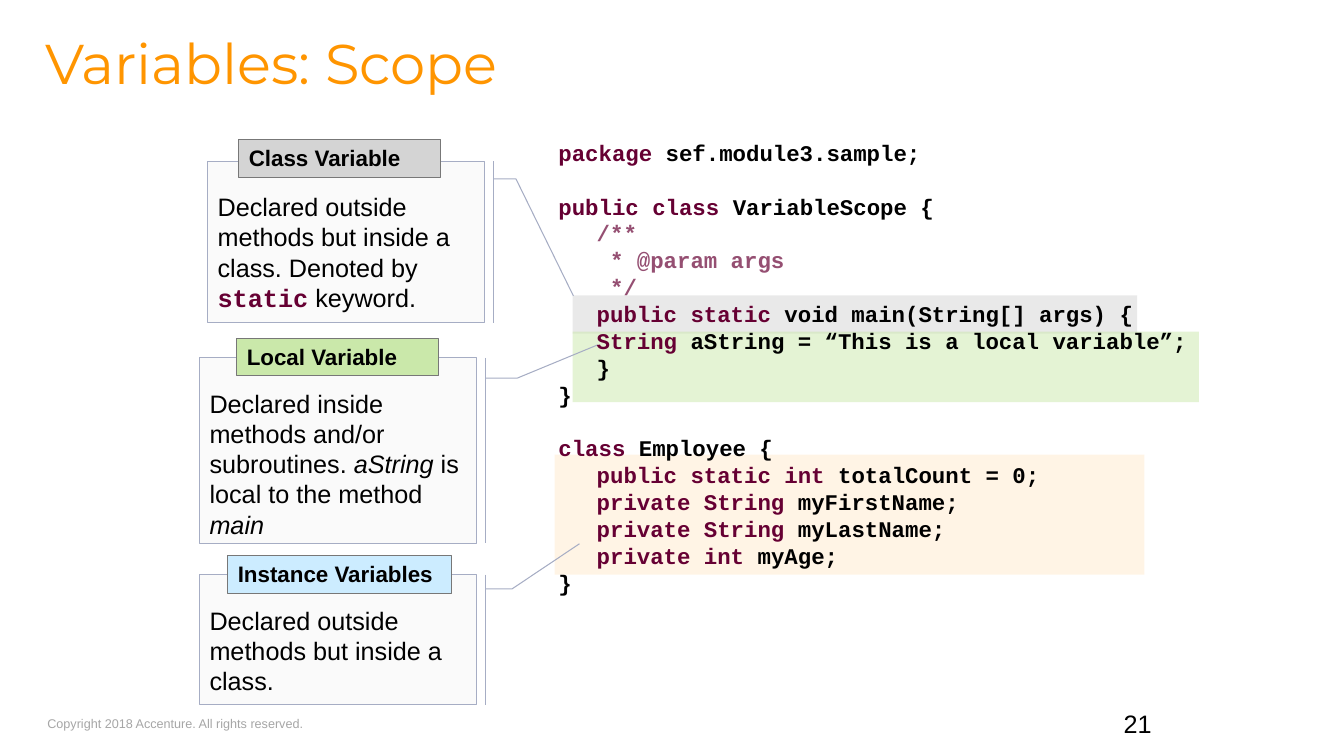
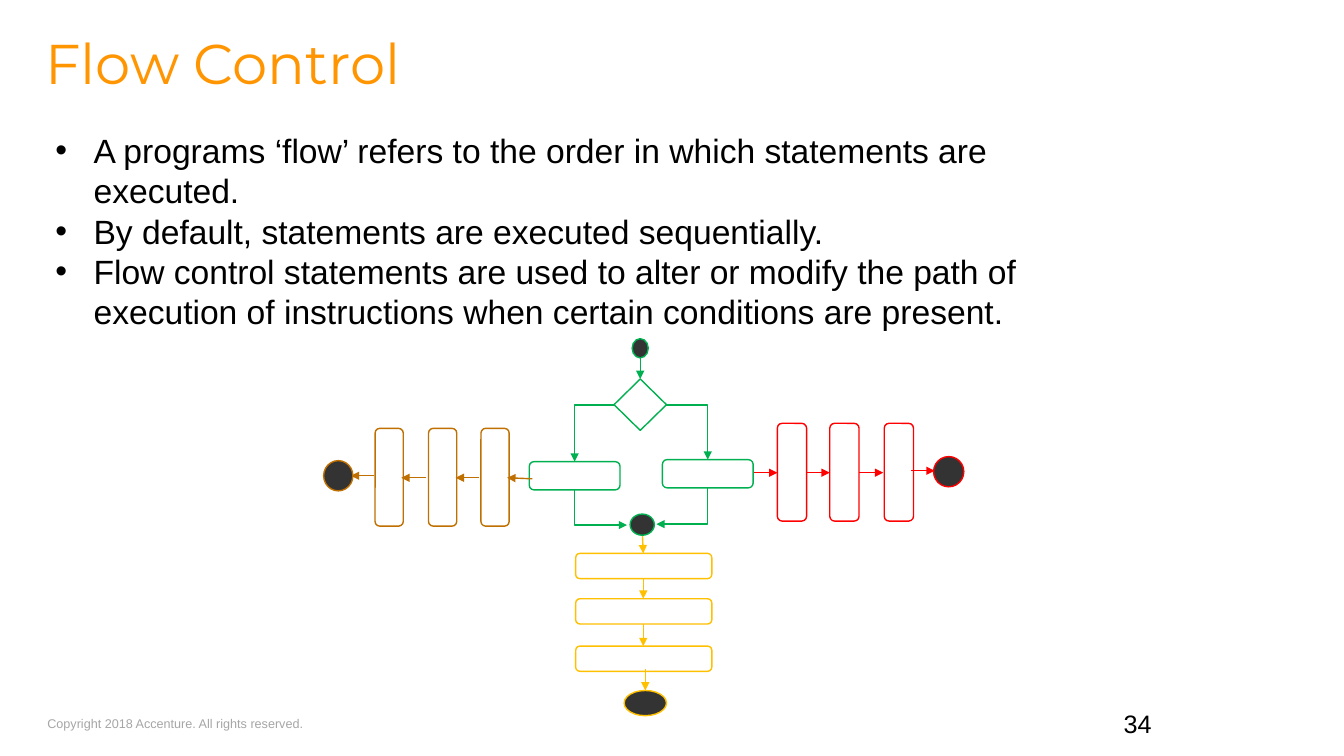
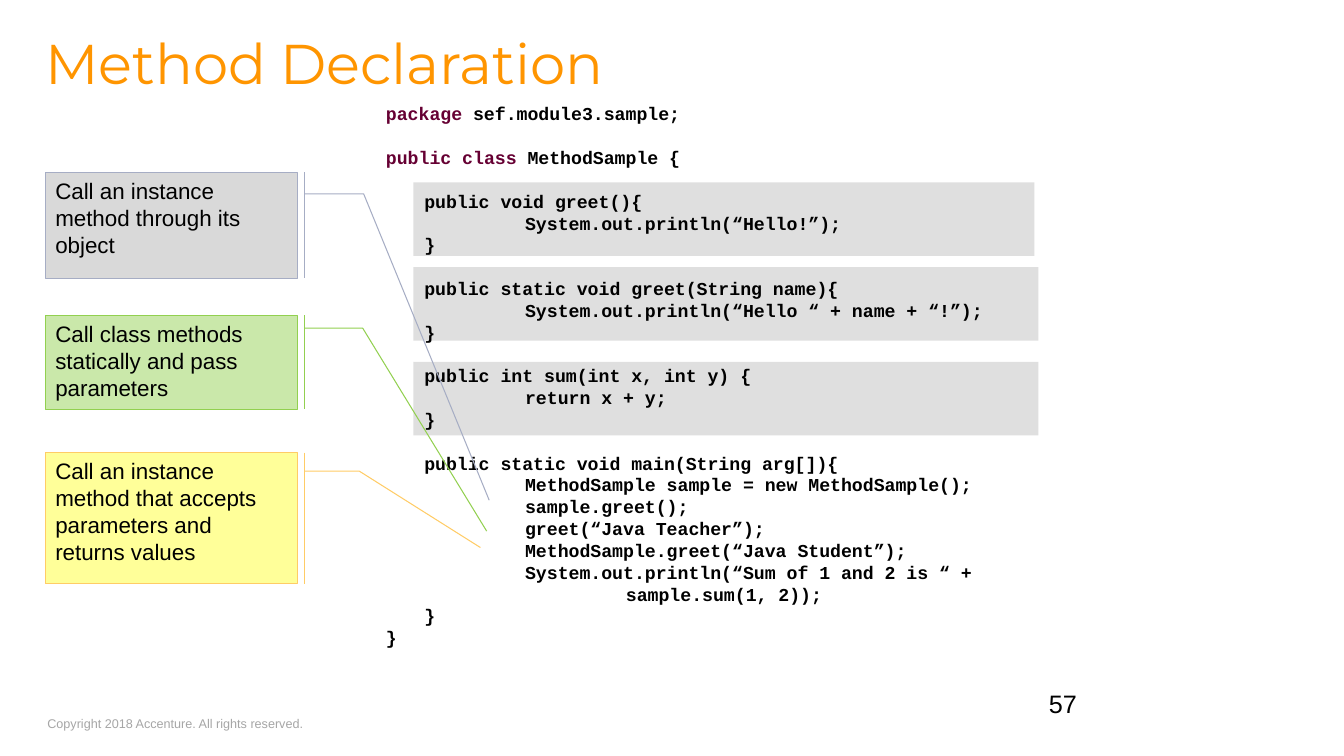
import pptx
import pptx.util
import pptx.dml.color
import pptx.enum.shapes
import pptx.enum.text
import pptx.oxml
import pptx.oxml.ns
import lxml.etree

Inches, Pt = pptx.util.Inches, pptx.util.Pt
SHAPE = pptx.enum.shapes.MSO_SHAPE
CONNECTOR = pptx.enum.shapes.MSO_CONNECTOR
ALIGN = pptx.enum.text.PP_ALIGN
ANCHOR = pptx.enum.text.MSO_ANCHOR
qn = pptx.oxml.ns.qn

COLORS = {
    "title": "FF9500", "text": "000000", "footer": "A6A6A6",
    "keyword": "660033", "comment": "954F72",
    "gray": "D4D4D4", "green": "CAE8AA", "peach": "FFEACC", "sky": "CCECFF",
    "silver": "C0C0C0", "paper": "FAFAFA", "callout gray": "D9D9D9",
    "yellow": "FFFF99", "slate": "A6ADC4", "label line": "777777",
    "lime": "92D050", "sand": "FFCC66", "dark": "333333",
    "main flow": "00B050", "down flow": "FFC000",
    "right flow": "FF0000", "left flow": "BF7000",
}
SANS, MONO, DISPLAY = "Arial", "Courier New", "Montserrat"
LINE_PITCH = 1.2
CODE_INDENT, TAB = 0.38, 1.0
COPYRIGHT = "Copyright 2018 Accenture. All rights reserved."

# Slide 1 content: keywords stand between bars, tabs give the code depth
SCOPE_CODE = [
    "|package| sef.module3.sample;",
    "",
    "|public class |VariableScope {",
    "\t/**",
    "\t * @param args",
    "\t */",
    "\t|public static| void main(String[] args) {",
    "\t|String |aString = “This is a local variable”;",
    "\t}",
    "}",
    "",
    "|class| Employee {",
    "\t|public static int |totalCount = 0;",
    "\t|private String |myFirstName;",
    "\t|private String |myLastName;",
    "\t|private int |myAge;",
    "}",
]
SCOPE_BANDS = [
    ((5.68, 2.93, 5.6, 0.38), "gray"),
    ((5.68, 3.29, 6.21, 0.7), "green"),
    ((5.5, 4.51, 5.85, 1.19), "peach"),
]
STATIC = {"name": MONO, "bold": True, "color": "keyword"}
ITALIC = {"italic": True}
# label, label box, label fill, callout box, leader (start y, bend x, end y, end x), runs
SCOPES = [
    ("Class Variable", (2.37, 1.38, 2, 0.38), "gray",
     (2.06, 1.6, 2.75, 1.6), (0.11, 1.112, 0.835, 1.319),
     [("Declared outside methods but inside a class. Denoted by ", {}),
      ("static", STATIC), (" keyword.", {})]),
    ("Instance Variables", (2.26, 5.51, 2.22, 0.38), "sky",
     (1.98, 5.7, 2.75, 1.29), (0.11, 1.127, -0.237, 1.37),
     [("Declared outside methods but inside a class.", {})]),
    ("Local Variable", (2.35, 3.36, 2, 0.37), "green",
     (1.98, 3.55, 2.75, 1.84), (0.11, 1.145, -0.07, 1.436),
     [("Declared inside methods and/or subroutines. ", {}), ("aString ", ITALIC),
      ("is local to the method ", {}), ("main", ITALIC)]),
]

# Slide 2 content
FLOW_POINTS = [
    "A programs ‘flow’ refers to the order in which statements are executed.",
    "By default, statements are executed sequentially.",
    "Flow control statements are used to alter or modify the path of "
    "execution of instructions when certain conditions are present.",
]
# Steps, dots and arrows of each branch
FLOWS = {
    "down flow": {
        "steps": [(5.71, y, 1.35, 0.25) for y in (5.49, 5.94, 6.41)],
        "dots": [(6.19, 6.85, 0.42, 0.25)],
        "arrows": [(6.37, 5.27, 6.38, 5.49), (6.38, 5.74, 6.38, 5.94),
                   (6.38, 6.19, 6.38, 6.41), (6.4, 6.64, 6.4, 6.85)],
    },
    "right flow": {
        "steps": [(x, 4.2, 0.29, 0.97) for x in (7.71, 8.23, 8.77)],
        "dots": [(9.26, 4.53, 0.3, 0.3)],
        "arrows": [(7.47, 4.69, 7.71, 4.69), (8, 4.69, 8.23, 4.69),
                   (8.52, 4.69, 8.76, 4.69), (9.04, 4.67, 9.27, 4.67)],
    },
    "main flow": {
        "steps": [(5.25, 4.58, 0.9, 0.28), (6.57, 4.56, 0.9, 0.28)],
        "dots": [(6.27, 3.36, 0.16, 0.19), (6.25, 5.1, 0.24, 0.21)],
        "arrows": [(6.35, 3.55, 6.35, 3.76)],
    },
    "left flow": {
        "steps": [(x, 4.25, 0.28, 0.97) for x in (4.77, 4.25, 3.72)],
        "dots": [(3.21, 4.57, 0.29, 0.3)],
        "arrows": [(5.28, 4.75, 5.03, 4.74), (4.75, 4.74, 4.52, 4.74),
                   (4.23, 4.74, 3.98, 4.74), (3.71, 4.72, 3.48, 4.72)],
    },
}
DECISION = (6.09, 3.76, 0.52, 0.51)
# Elbows run sideways first, then up or down; the last field is the arrow's end
ELBOWS = [
    ((6.61, 4.02, 7.02, 4.56), "tailEnd"),
    ((6.09, 4.02, 5.7, 4.58), "tailEnd"),
    ((6.22, 5.21, 5.7, 4.85), "headEnd"),
    ((6.51, 5.2, 7.02, 4.84), "headEnd"),
]

# Slide 3 content
METHOD_CODE = [
    "|package |sef.module3.sample;",
    "",
    "|public class| MethodSample {",
    "",
    "\tpublic void greet(){",
    "\t\tSystem.out.println(“Hello!”);",
    "\t}",
    "",
    "\tpublic static void greet(String name){",
    "\t\tSystem.out.println(“Hello “ + name + “!”);",
    "\t}",
    "",
    "\tpublic int sum(int x, int y) {",
    "\t\treturn x + y;",
    "\t}",
    "",
    "\tpublic static void main(String arg[]){",
    "\t\tMethodSample sample = new MethodSample();",
    "\t\tsample.greet();",
    "\t\tgreet(“Java Teacher”);",
    "\t\tMethodSample.greet(“Java Student”);",
    "\t\tSystem.out.println(“Sum of 1 and 2 is “ +",
    "\t\t\tsample.sum(1, 2));",
    "\t}",
    "}",
]
METHOD_BANDS = [((4.1, y, w, 0.73), "silver")
                for y, w in ((3.59, 6.2), (2.65, 6.2), (1.81, 6.16))]
# text, top, height, fill, line, leader
METHOD_CALLS = [
    ("Call an instance method through its object", 1.71, 1.05,
     "callout gray", "slate", (0.203, 1.263, 3.098, 1.761)),
    ("Call class methods statically and pass parameters", 3.13, 0.93,
     "green", "lime", (0.135, 1.259, 2.301, 1.751)),
    ("Call an instance method that accepts parameters and returns values", 4.49, 1.3,
     "yellow", "sand", (0.141, 1.245, 0.725, 1.726)),
]


def rgb(color):
    return pptx.dml.color.RGBColor.from_string(COLORS[color])


def inches(values):
    return [Inches(value) for value in values]


def add_run(paragraph, text, size, name=SANS, color="text", bold=False, italic=False):
    run = paragraph.add_run()
    run.text = text
    font = run.font
    font.size, font.name, font.bold, font.italic = Pt(size), name, bold, italic
    font.color.rgb = rgb(color)


def set_frame(frame, insets=(0.1, 0.05, 0.1, 0.05), anchor=ANCHOR.TOP, wrap=True):
    (frame.margin_left, frame.margin_top,
     frame.margin_right, frame.margin_bottom) = inches(insets)
    frame.vertical_anchor, frame.word_wrap = anchor, wrap
    return frame


def add_text(slide, box, **frame_style):
    return set_frame(slide.shapes.add_textbox(*inches(box)).text_frame, **frame_style)


def set_indent(paragraph, left, hanging=0):
    properties = paragraph._p.get_or_add_pPr()
    properties.set("marL", str(Inches(left)))
    properties.set("indent", str(-Inches(hanging)))
    return properties


def add_box(slide, kind, box, fill=None, line=None, width=0.75, opacity=None):
    shape = slide.shapes.add_shape(kind, *inches(box))
    shape.shadow.inherit = False
    if fill:
        shape.fill.solid()
        shape.fill.fore_color.rgb = rgb(fill)
        if opacity:
            color = shape._element.spPr.find(".//" + qn("a:srgbClr"))
            lxml.etree.SubElement(color, qn("a:alpha")).set("val", str(opacity * 1000))
    else:
        shape.fill.background()
    if line:
        shape.line.color.rgb = rgb(line)
        shape.line.width = Pt(width)
    else:
        shape.line.fill.background()
    return shape


def write_box(shape, runs, size, top=0.05):
    """Fill a shape with one left-aligned paragraph."""
    paragraph = set_frame(shape.text_frame, (0.1, top, 0.1, 0.05)).paragraphs[0]
    paragraph.alignment = ALIGN.LEFT
    paragraph.line_spacing = Pt(LINE_PITCH * size)
    for text, style in runs:
        add_run(paragraph, text, size, **style)


def add_callout(slide, box, fill, line, leader, runs, size, top=0.05):
    shape = add_box(slide, SHAPE.LINE_CALLOUT_2_BORDER_AND_ACCENT_BAR, box, fill, line)
    start, bend, end_y, end_x = leader
    for index, value in enumerate((start, 1.03, start, bend, end_y, end_x)):
        shape.adjustments[index] = value
    write_box(shape, runs, size, top)


def add_bands(slide, bands):
    for box, fill in bands:
        add_box(slide, SHAPE.RECTANGLE, box, fill, opacity=50)


def add_code(slide, box, lines, size):
    frame = add_text(slide, box)
    paragraph, gap = frame.paragraphs[0], 0
    for number, line in enumerate(lines):
        if not line:
            gap += LINE_PITCH * size
            continue
        if number:
            paragraph = frame.add_paragraph()
            paragraph.space_before = Pt(gap)
        gap = 0
        paragraph.line_spacing = Pt(LINE_PITCH * size)
        code = line.lstrip("\t")
        depth = len(line) - len(code)
        set_indent(paragraph, CODE_INDENT + TAB * (depth - 1) if depth else 0)
        plain = "comment" if code.strip().startswith(("/*", "*")) else "text"
        for part, text in enumerate(code.split("|")):
            if text:
                add_run(paragraph, text, size, MONO, "keyword" if part % 2 else plain, True)


def add_arrow(slide, ends, color, kind=CONNECTOR.STRAIGHT, arrow_end="tailEnd"):
    connector = slide.shapes.add_connector(kind, *inches(ends))
    connector.line.color.rgb = rgb(color)
    connector.line.width = Pt(1)
    properties = connector._element.spPr
    if kind == CONNECTOR.ELBOW:
        properties.find(qn("a:prstGeom")).set("prst", "bentConnector2")
    outline = properties.find(qn("a:ln"))
    lxml.etree.SubElement(outline, qn("a:" + arrow_end)).set("type", "triangle")
    lxml.etree.SubElement(properties, qn("a:effectLst"))


def new_slide(deck, title, number, number_at=(9.67, 7.08)):
    """Start a slide with the shared footer, number and title."""
    slide = deck.slides.add_slide(deck.slide_layouts[6])
    footer = add_text(slide, (0.47, 7.05, 2.57, 0.25), insets=(0, 0.05, 0, 0.05), wrap=False)
    add_run(footer.paragraphs[0], COPYRIGHT, 9, color="footer")
    page = add_text(slide, (*number_at, 1.85, 0.3), anchor=ANCHOR.BOTTOM).paragraphs[0]
    page.alignment = ALIGN.RIGHT
    add_run(page, number, 18)
    heading = add_text(slide, (0.45, 0.41, 8.32, 1.09), insets=(0, 0, 0, 0)).paragraphs[0]
    heading.line_spacing = 0.8
    add_run(heading, title, 40, DISPLAY, "title")
    return slide


def build_scope(deck):
    slide = new_slide(deck, "Variables: Scope", "21")
    add_bands(slide, SCOPE_BANDS)
    for label, label_box, fill, box, leader, runs in SCOPES:
        add_callout(slide, box, "paper", "slate", leader, runs, 18, top=0.3)
        tag = add_box(slide, SHAPE.RECTANGLE, label_box, fill, "label line")
        write_box(tag, [(label, {"bold": True})], 16)
    add_code(slide, (5.44, 1.33, 6.78, 5.33), SCOPE_CODE, 16)


def build_flow(deck):
    slide = new_slide(deck, "Flow Control", "34")
    # Bullets
    frame = add_text(slide, (0.45, 1.24, 10.55, 4.5))
    for number, point in enumerate(FLOW_POINTS):
        paragraph = frame.add_paragraph() if number else frame.paragraphs[0]
        paragraph.line_spacing = Pt(LINE_PITCH * 24)
        properties = set_indent(paragraph, 0.38, 0.38)
        lxml.etree.SubElement(properties, qn("a:buFont")).set("typeface", SANS)
        lxml.etree.SubElement(properties, qn("a:buChar")).set("char", "•")
        add_run(paragraph, point, 24)
    # Flow diagram
    for color, flow in FLOWS.items():
        for box in flow["steps"]:
            add_box(slide, SHAPE.ROUNDED_RECTANGLE, box, line=color, width=1)
        for ends in flow["arrows"]:
            add_arrow(slide, ends, color)
        for box in flow["dots"]:
            add_box(slide, SHAPE.FLOWCHART_CONNECTOR, box, "dark", color, 1)
    add_box(slide, SHAPE.DIAMOND, DECISION, line="main flow", width=1)
    for ends, arrow_end in ELBOWS:
        add_arrow(slide, ends, "main flow", CONNECTOR.ELBOW, arrow_end)


def build_methods(deck):
    slide = new_slide(deck, "Method Declaration", "57", (8.93, 6.88))
    add_bands(slide, METHOD_BANDS)
    add_code(slide, (3.73, 0.97, 6.63, 5.56), METHOD_CODE, 13)
    for text, top, height, fill, line, leader in METHOD_CALLS:
        add_callout(slide, (0.45, top, 2.5, height), fill, line, leader, [(text, {})], 16)


def main():
    deck = pptx.Presentation()
    deck.slide_width, deck.slide_height = Inches(13.33), Inches(7.5)
    build_scope(deck)
    build_flow(deck)
    build_methods(deck)
    deck.save("out.pptx")


if __name__ == "__main__":
    main()
